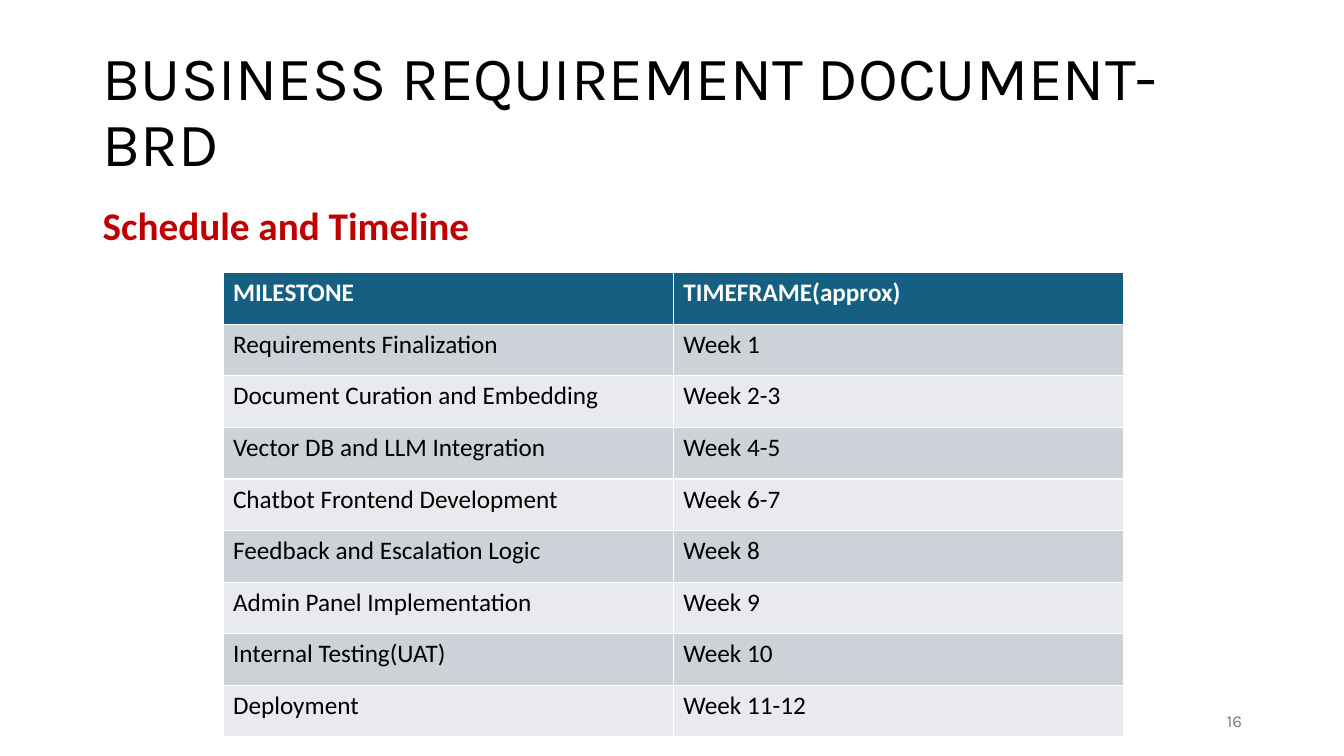
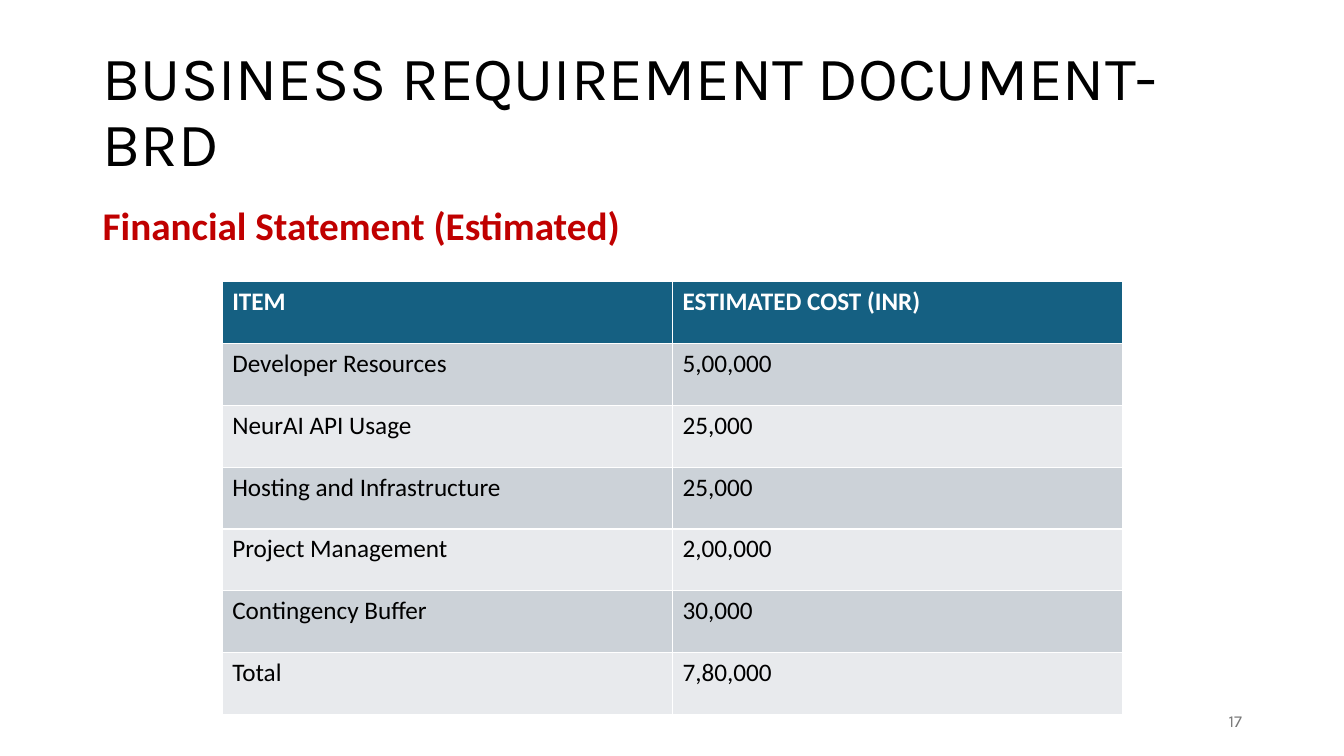
from pptx import Presentation
from pptx.dml.color import RGBColor
from pptx.enum import text
from pptx.util import Cm, Pt

TITLE = "BUSINESS REQUIREMENT DOCUMENT-BRD"
TITLE_FONT, BODY_FONT = "Karla", "Calibri"
BLACK, WHITE, RED, GREY = "000000", "FFFFFF", "C00000", "797979"
HEADER_FILL, BAND_FILLS = "156082", ("CCD2D8", "E8EAED")

# Boxes are left, top, width, height in centimetres
TITLE_BOX = (2.34, 1.02, 29.21, 3.68)
SUBTITLE_BOX = (2.34, 5.08, 29.21, 1.5)
NUMBER_BOX = (23.93, 17.65, 7.62, 1.02)

SCHEDULE = [
    ("MILESTONE", "TIMEFRAME(approx)"),
    ("Requirements Finalization", "Week 1"),
    ("Document Curation and Embedding", "Week 2-3"),
    ("Vector DB and LLM Integration", "Week 4-5"),
    ("Chatbot Frontend Development", "Week 6-7"),
    ("Feedback and Escalation Logic", "Week 8"),
    ("Admin Panel Implementation", "Week 9"),
    ("Internal Testing(UAT)", "Week 10"),
    ("Deployment", "Week 11-12"),
]
COSTS = [
    ("ITEM", "ESTIMATED COST (INR)"),
    ("Developer Resources", "5,00,000"),
    ("NeurAI API Usage", "25,000"),
    ("Hosting and Infrastructure", "25,000"),
    ("Project Management", "2,00,000"),
    ("Contingency Buffer", "30,000"),
    ("Total", "7,80,000"),
]


def color(hex_value):
    return RGBColor.from_string(hex_value)


def set_font(paragraph, name, size, hex_value, bold=False):
    font = paragraph.font
    font.name, font.size, font.bold = name, Pt(size), bold
    font.color.rgb = color(hex_value)


def add_text(slide, box, content, font, anchor=text.MSO_ANCHOR.MIDDLE):
    """Add a one-paragraph text box and return its paragraph."""
    frame = slide.shapes.add_textbox(*map(Cm, box)).text_frame
    frame.word_wrap = True
    frame.vertical_anchor = anchor
    paragraph = frame.paragraphs[0]
    paragraph.text = content
    set_font(paragraph, *font)
    return paragraph


def add_banded_table(slide, box, rows):
    """Fill the box with equal rows and columns; the first row is the header."""
    shape = slide.shapes.add_table(len(rows), len(rows[0]), *map(Cm, box))
    for row_index, values in enumerate(rows):
        header = row_index == 0
        fill = HEADER_FILL if header else BAND_FILLS[(row_index - 1) % 2]
        for column_index, value in enumerate(values):
            cell = shape.table.cell(row_index, column_index)
            cell.fill.solid()
            cell.fill.fore_color.rgb = color(fill)
            cell.text = value
            set_font(cell.text_frame.paragraphs[0], BODY_FONT, 18,
                     WHITE if header else BLACK, header)


def add_table_slide(presentation, number, subtitle, table_box, rows):
    slide = presentation.slides.add_slide(presentation.slide_layouts[6])
    title = add_text(slide, TITLE_BOX, TITLE, (TITLE_FONT, 44, BLACK))
    title.line_spacing = 0.9
    heading = add_text(slide, SUBTITLE_BOX, subtitle,
                       (BODY_FONT, 28, RED, True), text.MSO_ANCHOR.TOP)
    heading.line_spacing = 0.9
    heading.space_before = Pt(10)
    add_banded_table(slide, table_box, rows)
    page = add_text(slide, NUMBER_BOX, str(number), (TITLE_FONT, 12, GREY))
    page.alignment = text.PP_ALIGN.RIGHT


def main():
    presentation = Presentation()
    presentation.slide_width, presentation.slide_height = Cm(33.87), Cm(19.05)
    add_table_slide(presentation, 16, "Schedule and Timeline",
                    (5.62, 6.87, 22.7, 11.7), SCHEDULE)
    add_table_slide(presentation, 17, "Financial Statement (Estimated)",
                    (5.6, 7.1, 22.7, 10.9), COSTS)
    presentation.save("out.pptx")


if __name__ == "__main__":
    main()
